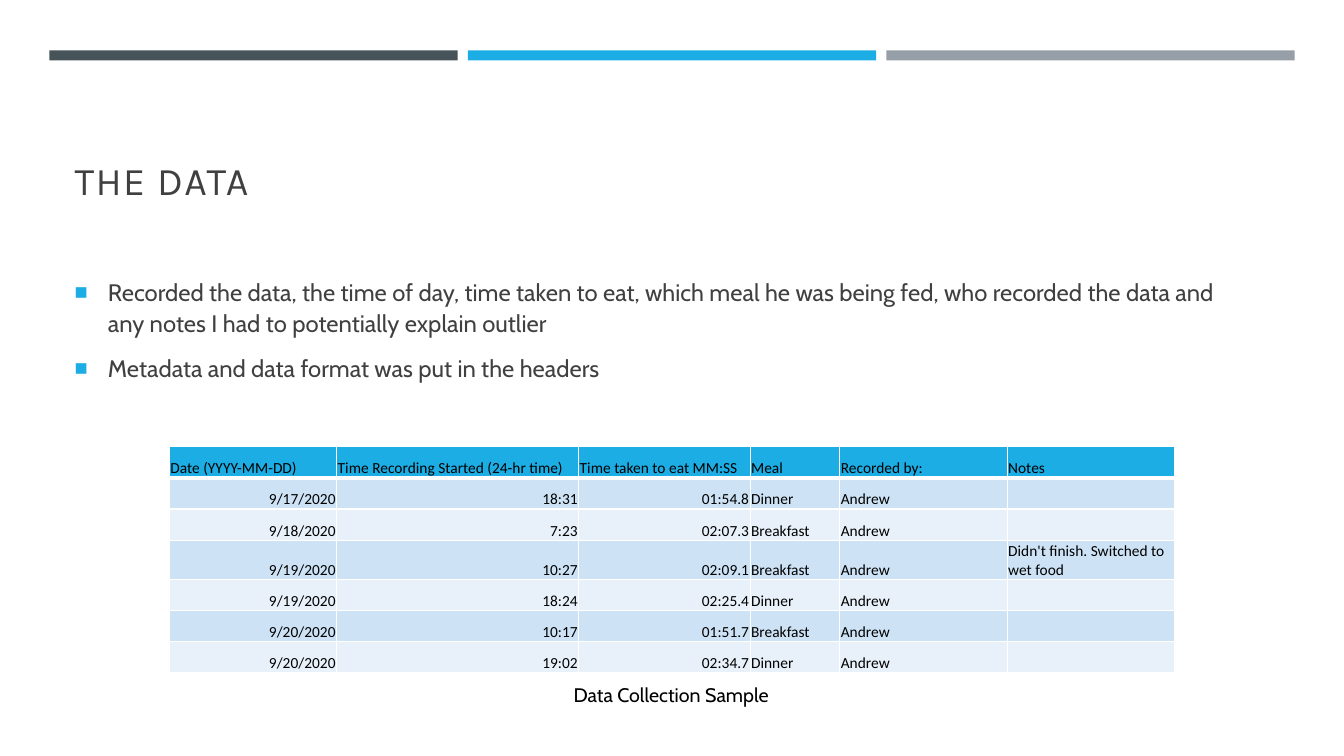
from dataclasses import dataclass

from lxml.etree import SubElement
from pptx import Presentation
from pptx.dml.color import RGBColor as Rgb
from pptx.enum.shapes import MSO_SHAPE as Shape
from pptx.enum.text import MSO_ANCHOR as Anchor, PP_ALIGN as Align
from pptx.oxml import parse_xml
from pptx.oxml.ns import nsdecls, qn
from pptx.util import Inches, Pt


@dataclass(frozen=True)
class Theme:
    dark: str = "465359"
    accent: str = "1CADE4"
    grey: str = "969FA7"
    text: str = "404040"
    black: str = "000000"
    white: str = "FFFFFF"
    bands: tuple = ("CDE3F5", "E8F1FA")
    title_font: str = "Karla"
    body_font: str = "Cabin"
    table_font: str = "Calibri"
    title_size: int = 28
    body_size: int = 17
    caption_size: int = 14
    table_size: int = 11


theme = Theme()


def set_font(para, name, size, color):
    para.font.name = name
    para.font.size = Pt(size)
    para.font.color.rgb = Rgb.from_string(color)


def set_border(cell, side, points):
    cell_props = cell._tc.get_or_add_tcPr()
    cell_props.append(parse_xml(
        f'<a:{side} {nsdecls("a")} w="{Pt(points)}"><a:solidFill>'
        f'<a:srgbClr val="{theme.white}"/></a:solidFill></a:{side}>'))


deck = Presentation()
deck.slide_width, deck.slide_height = Inches(13.33), Inches(7.5)
page = deck.slides.add_slide(deck.slide_layouts[1])

# Bars along the top
for index, color in enumerate((theme.dark, theme.accent, theme.grey)):
    bar = page.shapes.add_shape(Shape.RECTANGLE, Inches(0.49 + 4.15 * index),
                                Inches(0.5), Inches(4.05), Inches(0.1))
    bar.shadow.inherit = False
    bar.fill.solid()
    bar.fill.fore_color.rgb = Rgb.from_string(color)
    bar.line.fill.background()

# Title
title = page.shapes.title
title.left, title.top = Inches(0.64), Inches(0.77)
title.width, title.height = Inches(12.06), Inches(1.3)
title.text_frame.text = "THE DATA"
title.text_frame.vertical_anchor = Anchor.BOTTOM
para = title.text_frame.paragraphs[0]
para.alignment = Align.LEFT
set_font(para, theme.title_font, theme.title_size, theme.text)
para.runs[0].font._element.set("spc", "100")

# Bulleted list
body = page.placeholders[1]
body.left, body.top = Inches(0.64), Inches(2.19)
body.width, body.height = Inches(11.91), Inches(2.13)
body.text_frame.vertical_anchor = Anchor.MIDDLE
body.text_frame.text = (
    "Recorded the data, the time of day, time taken to eat, which meal he was "
    "being fed, who recorded the data and any notes I had to potentially "
    "explain outlier\n"
    "Metadata and data format was put in the headers")
for para in body.text_frame.paragraphs:
    para.line_spacing = 1.1
    para.space_before, para.space_after = Pt(3.4), Pt(6)
    set_font(para, theme.body_font, theme.body_size, theme.text)
    props = para._p.get_or_add_pPr()
    props.set("marL", str(Inches(0.33)))
    props.set("indent", str(-Inches(0.33)))
    bullet = [parse_xml(f'<a:buClr {nsdecls("a")}><a:srgbClr val="{theme.accent}"/></a:buClr>'),
              parse_xml(f'<a:buSzPct {nsdecls("a")} val="92000"/>'),
              parse_xml(f'<a:buChar {nsdecls("a")} char="■"/>')]
    for part in bullet:
        props.find(qn("a:defRPr")).addprevious(part)

# Table of recorded meals
rows = [
    ("Date (YYYY-MM-DD)", "Time Recording Started (24-hr time)",
     "Time taken to eat MM:SS", "Meal", "Recorded by:", "Notes"),
    ("9/17/2020", "18:31", "01:54.8", "Dinner", "Andrew", ""),
    ("9/18/2020", "7:23", "02:07.3", "Breakfast", "Andrew", ""),
    ("9/19/2020", "10:27", "02:09.1", "Breakfast", "Andrew",
     "Didn't finish. Switched to wet food"),
    ("9/19/2020", "18:24", "02:25.4", "Dinner", "Andrew", ""),
    ("9/20/2020", "10:17", "01:51.7", "Breakfast", "Andrew", ""),
    ("9/20/2020", "19:02", "02:34.7", "Dinner", "Andrew", ""),
]
widths = (1.66, 2.4, 1.7, 0.89, 1.66, 1.66)
table = page.shapes.add_table(len(rows), len(widths), Inches(1.68), Inches(4.43),
                              Inches(9.98), Inches(2.17)).table
for column, width in zip(table.columns, widths):
    column.width = Inches(width)
for row_index, row in enumerate(rows):
    table.rows[row_index].height = Inches(0.31)
    fill = theme.bands[(row_index - 1) % 2] if row_index else theme.accent
    for column_index, text in enumerate(row):
        cell = table.cell(row_index, column_index)
        cell.text = text
        cell.vertical_anchor = Anchor.BOTTOM
        cell.margin_left = cell.margin_right = cell.margin_top = Inches(0.01)
        cell.margin_bottom = 0
        para = cell.text_frame.paragraphs[0]
        para.alignment = Align.RIGHT if row_index and column_index < 3 else Align.LEFT
        set_font(para, theme.table_font, theme.table_size, theme.black)
        para.font.bold = False
        if not text:
            SubElement(para._p, qn("a:endParaRPr"), sz=str(theme.table_size * 100))
        for side in ("lnL", "lnR", "lnT"):
            set_border(cell, side, 3 if side == "lnT" and row_index == 1 else 1)
        set_border(cell, "lnB", 1 if row_index else 3)
        cell.fill.solid()
        cell.fill.fore_color.rgb = Rgb.from_string(fill)

# Table caption
caption = page.shapes.add_textbox(Inches(5.59), Inches(6.73), Inches(2.15), Inches(0.34))
caption.text_frame.word_wrap = True
caption.text_frame.text = "Data Collection Sample"
set_font(caption.text_frame.paragraphs[0], theme.body_font, theme.caption_size, theme.black)

deck.save("out.pptx")
